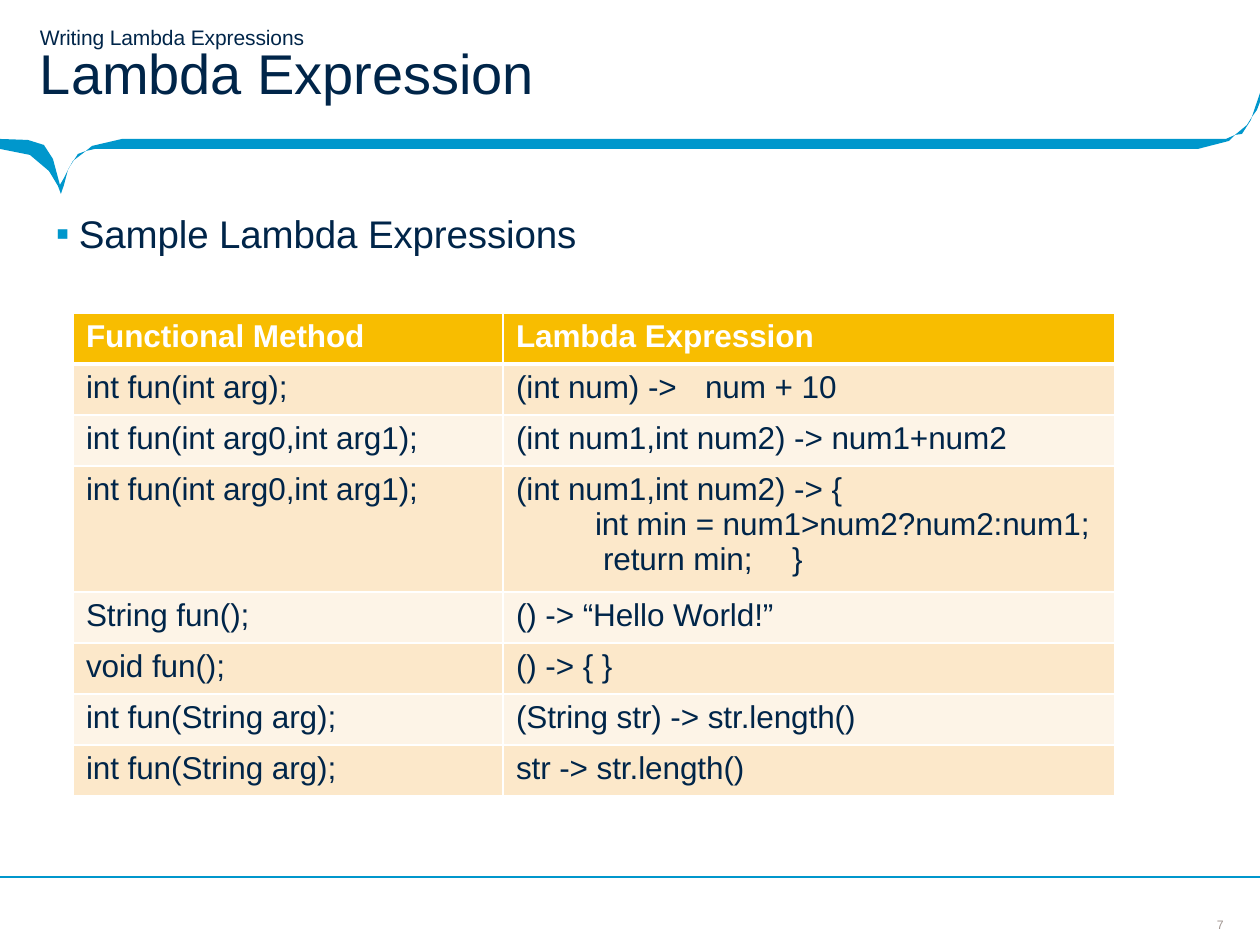
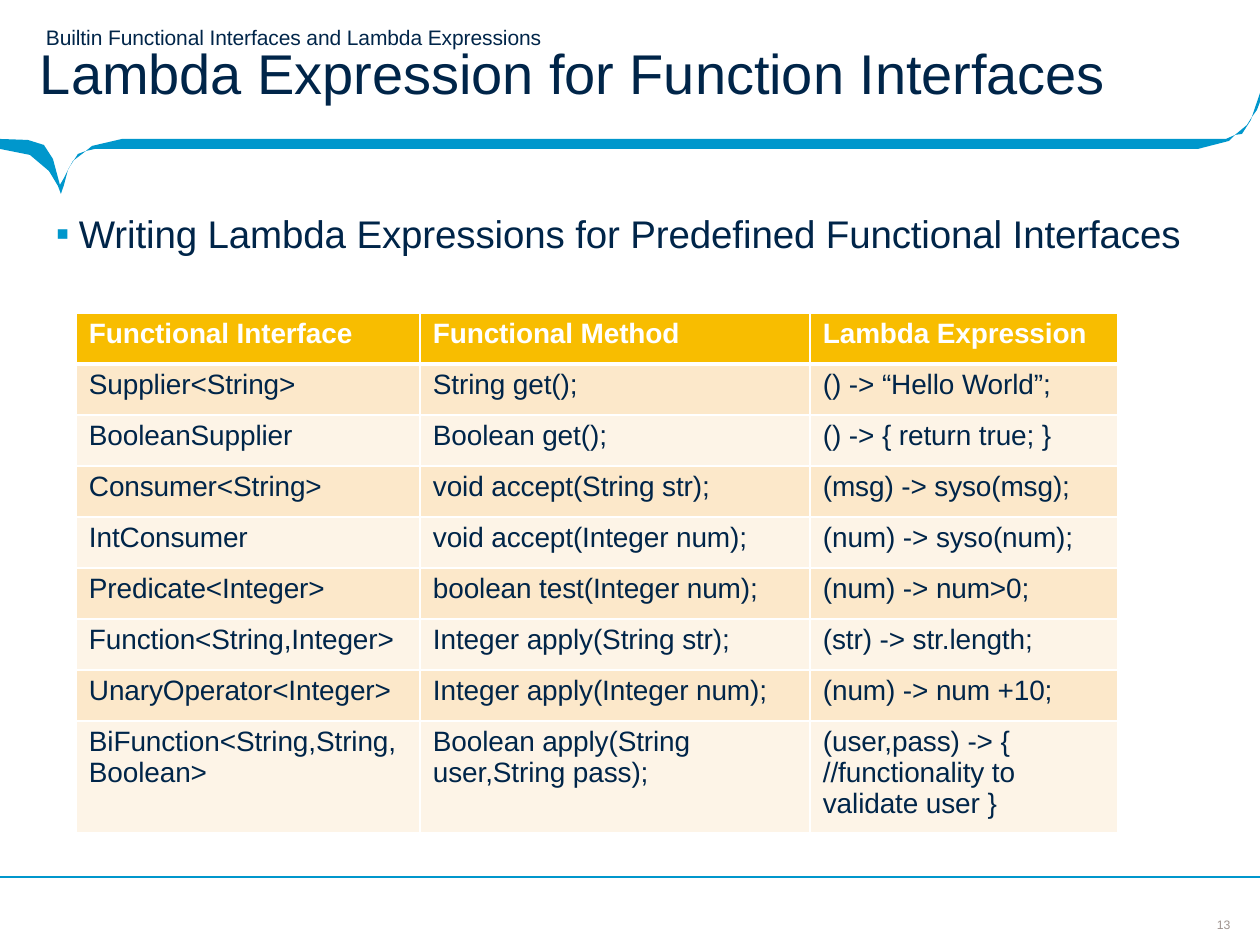
from dataclasses import dataclass
from itertools import accumulate
from lxml import etree
from pptx import Presentation
from pptx.dml.color import RGBColor
from pptx.enum.shapes import MSO_CONNECTOR
from pptx.enum.text import MSO_ANCHOR, MSO_AUTO_SIZE, PP_ALIGN
from pptx.oxml.ns import qn
from pptx.util import Emu, Pt

SCALE = 914400 / 126
WIDTH, HEIGHT = 1260, 945


@dataclass(frozen=True)
class Theme:
    font: str = "Arial"
    ink: str = "002549"
    accent: str = "0097CC"
    muted: str = "9F948F"
    white: str = "FFFFFF"
    header: str = "F8BD00"
    bands: tuple = ("FCE8CA", "FDF4E7")
    title: int = 32
    body: int = 22
    kicker: int = 12
    number: int = 7


T = Theme()

WAVE = (
    ((0, 46), (0, 56), (30, 62), (49, 78), (58, 93), (61, 101), (64, 92),
     (60, 92), (53, 66), (44, 52), (28, 47)),
    ((68, 77), (64, 85), (60, 92), (64, 92)),
    ((86, 58), (78, 61), (69, 75), (68, 77), (73, 68)),
    ((1235, 42), (1226, 46), (1198, 46), (122, 46), (92, 53), (86, 58),
     (95, 56), (122, 56), (1198, 56), (1229, 48)),
    ((1252, 24), (1247, 32), (1235, 42), (1242, 41), (1251, 27)),
    ((1260, 0), (1252, 24), (1257, 17), (1260, 9)),
)


def px(n):
    return Emu(round(n * SCALE))


def rgb(value):
    return RGBColor.from_string(value)


def child(parent, tag, **attrs):
    el = etree.SubElement(parent, qn(tag))
    for key, value in attrs.items():
        el.set(key, str(value))
    return el


def solid(parent, color):
    child(child(parent, "a:solidFill"), "a:srgbClr", val=color)


def write(p, text, size, color=T.ink, bold=False, before=0, left=1, indent=0,
          bullet=None, tab=None):
    p.alignment = PP_ALIGN.LEFT
    p.space_before = Pt(before)
    pPr = p._p.get_or_add_pPr()
    pPr.set("marL", str(px(left)))
    pPr.set("indent", str(px(indent)))
    if bullet:
        child(child(pPr, "a:buClr"), "a:srgbClr", val=T.accent)
        child(pPr, "a:buFont", typeface=T.font)
        child(pPr, "a:buChar", char=bullet)
    if tab:
        child(child(pPr, "a:tabLst"), "a:tab", pos=px(tab), algn="l")
    r = p.add_run()
    r.text = text
    r.font.name, r.font.size, r.font.bold = T.font, Pt(size), bold
    r.font.color.rgb = rgb(color)
    r._r.get_or_add_rPr().set("spc", "-5")


def fill_box(sp, box, text, size, top=1, **fmt):
    sp.left, sp.top, sp.width, sp.height = map(px, box)
    tf = sp.text_frame
    tf.word_wrap = True
    tf.auto_size = MSO_AUTO_SIZE.SHAPE_TO_FIT_TEXT
    tf.vertical_anchor = MSO_ANCHOR.TOP
    tf.margin_left = tf.margin_right = tf.margin_bottom = 0
    tf.margin_top = px(top)
    write(tf.paragraphs[0], text, size, **fmt)


def text_box(s, box, text, size, **fmt):
    fill_box(s.shapes.add_textbox(0, 0, 0, 0), box, text, size, **fmt)


def add_wave(s, x, y):
    first, *rest = WAVE
    fb = s.shapes.build_freeform(*first[0], scale=SCALE)
    fb.add_line_segments(first[1:], close=True)
    for outline in rest:
        fb.move_to(*outline[0])
        fb.add_line_segments(outline[1:], close=True)
    sp = fb.convert_to_shape(px(x), px(y))
    sp.shadow.inherit = False
    sp.fill.solid()
    sp.fill.fore_color.rgb = rgb(T.accent)
    sp.line.fill.background()


def add_footer(s, x, y, width, number):
    line = s.shapes.add_connector(
        MSO_CONNECTOR.STRAIGHT, px(x), px(y), px(x + width), px(y))
    line.line.color.rgb = rgb(T.accent)
    line.line.width = Pt(0.72)
    child(line._element.spPr, "a:effectLst")
    text_box(s, (x + width - 48, y + 40, 24, 18), str(number), T.number,
             top=0, color=T.muted, left=5, before=0.3)


def add_heading(s, x, y, kicker, kicker_x, kicker_width, title, title_width):
    text_box(s, (x + kicker_x, y, kicker_width, 29), kicker, T.kicker, before=1)
    fill_box(s.shapes.title, (x, y + 14, title_width, 71), title, T.title,
             before=1.1)


def style_cell(cell, fill, above, below):
    tcPr = cell._tc.get_or_add_tcPr()
    for side, width in (("L", 1), ("R", 1), ("T", above), ("B", below)):
        solid(child(tcPr, f"a:ln{side}", w=Pt(width)), T.white)
    cell.fill.solid()
    cell.fill.fore_color.rgb = rgb(fill)
    cell.margin_left = cell.margin_right = cell.margin_bottom = 0
    cell.margin_top = px(5.5)


def add_grid(s, x, y, cols, heights, rows, size, rules):
    frame = s.shapes.add_table(len(rows), len(cols), px(x), px(y),
                               px(sum(cols)), px(sum(heights)))
    table = frame.table
    table.horz_banding = False
    for col, width in zip(table.columns, cols):
        col.width = px(width)
    edges = [0, *accumulate(heights)]
    for i, values in enumerate(rows):
        table.rows[i].height = px(edges[i + 1]) - px(edges[i])
        head = i == 0
        for j, value in enumerate(values):
            cell = table.cell(i, j)
            style_cell(cell, T.header if head else T.bands[(i - 1) % 2],
                       rules.get(i, 1), rules.get(i + 1, 1))
            lines = [value] if isinstance(value, str) else value
            for k, line in enumerate(lines):
                text, fmt = (line, {}) if isinstance(line, str) else line
                tf = cell.text_frame
                p = tf.add_paragraph() if k else tf.paragraphs[0]
                write(p, text, size, **{
                    "color": T.white if head else T.ink, "bold": head,
                    "before": 0 if k else 3.1, "left": 13, **fmt})


def table_slide(prs, number, heading, bullet, bullet_width, grid):
    s = prs.slides.add_slide(prs.slide_layouts[5])
    add_wave(s, 0, 93)
    add_footer(s, 0, 877, WIDTH, number)
    add_heading(s, 39, 24, **heading)
    text_box(s, (54, 209, bullet_width, 49), bullet, T.body, before=0.9,
             left=25, indent=-23, bullet="\u25aa", tab=25)
    add_grid(s, y=313, **grid)


EXPRESSIONS = (
    ("Functional Method", "Lambda Expression"),
    ("int fun(int arg);", [("(int num) ->\tnum + 10", {"tab": 191})]),
    ("int fun(int arg0,int arg1);", "(int num1,int num2) -> num1+num2"),
    ("int fun(int arg0,int arg1);",
     ["(int num1,int num2) -> {",
      ("int min = num1>num2?num2:num1;", {"left": 92}),
      ("return min;\t}", {"left": 100, "tab": 251})]),
    ("String fun();", "() -> “Hello World!”"),
    ("void fun();", "() -> { }"),
    ("int fun(String arg);", "(String str) -> str.length()"),
    ("int fun(String arg);", "str -> str.length()"),
)

INTERFACES = (
    ("Functional Interface", "Functional Method", "Lambda Expression"),
    ("Supplier<String>", "String get();", "() -> “Hello World”;"),
    ("BooleanSupplier", "Boolean get();", "() -> { return true; }"),
    ("Consumer<String>", "void accept(String str);", "(msg) -> syso(msg);"),
    ("IntConsumer", "void accept(Integer num);", "(num) -> syso(num);"),
    ("Predicate<Integer>", "boolean test(Integer num);", "(num) -> num>0;"),
    ("Function<String,Integer>", "Integer apply(String str);",
     "(str) -> str.length;"),
    ("UnaryOperator<Integer>", "Integer apply(Integer num);",
     "(num) -> num +10;"),
    (["BiFunction<String,String,", "Boolean>"],
     ["Boolean apply(String", "user,String pass);"],
     ["(user,pass) -> {", "//functionality to", "validate user }"]),
)

prs = Presentation()
prs.slide_width, prs.slide_height = px(WIDTH), px(HEIGHT)

table_slide(
    prs, 7,
    dict(kicker="Writing Lambda Expressions", kicker_x=0, kicker_width=270,
         title="Lambda Expression", title_width=498),
    "Sample Lambda Expressions", 527,
    dict(x=73, cols=(430, 612), heights=[51] * 3 + [126] + [51] * 4,
         rows=EXPRESSIONS, size=18, rules={1: 3}))

table_slide(
    prs, 13,
    dict(kicker="Builtin Functional Interfaces and Lambda Expressions",
         kicker_x=6, kicker_width=503,
         title="Lambda Expression for Function Interfaces",
         title_width=1070),
    "Writing Lambda Expressions for Predefined Functional Interfaces", 1137,
    dict(x=76, cols=(344, 390, 308), heights=[51] * 8 + [112],
         rows=INTERFACES, size=16, rules={1: 3, 8: 1.5}))

prs.save("out.pptx")
